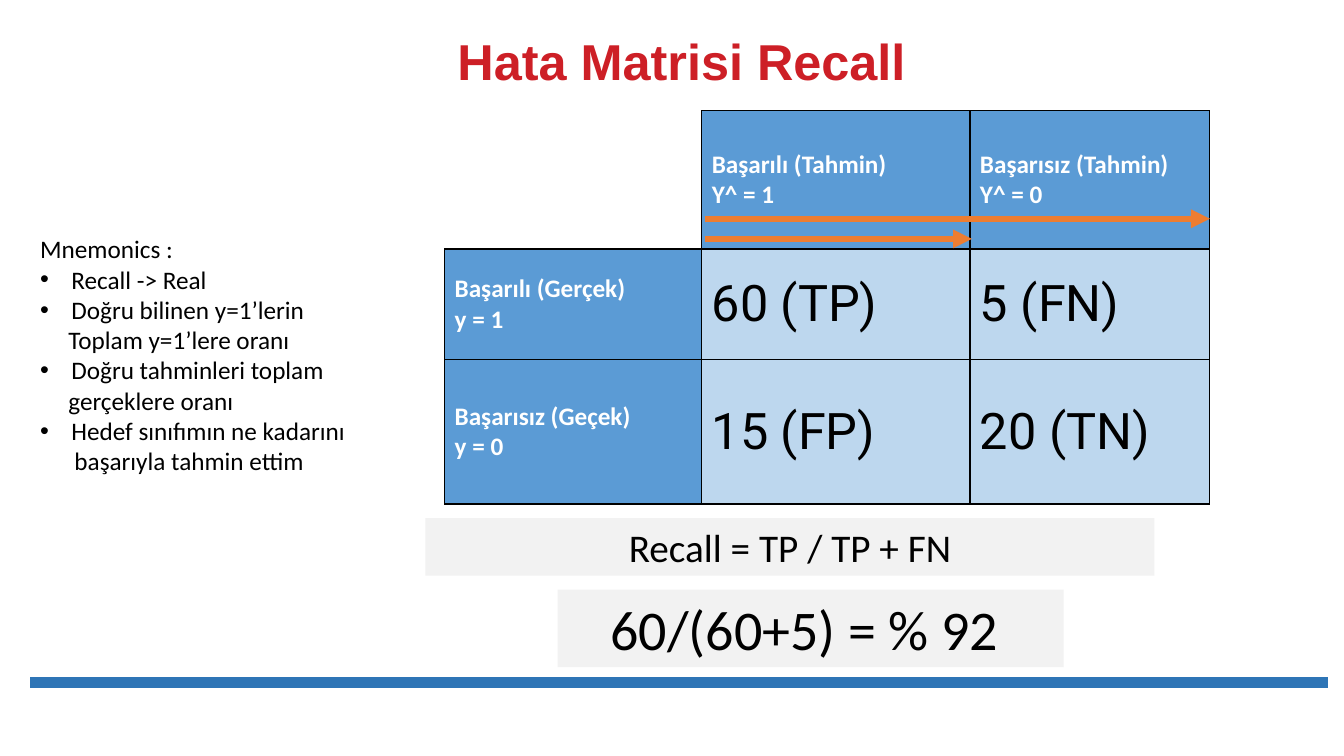
from dataclasses import dataclass

from pptx import Presentation
from pptx import util as u
from pptx.dml.color import RGBColor
from pptx.enum import shapes, text
from pptx.oxml import parse_xml
from pptx.oxml.ns import nsdecls, qn

Inches = u.Inches


@dataclass(frozen=True)
class Theme:
    red: str = "CD1F26"
    bar: str = "2E75B6"
    head: str = "5B9BD5"
    cell: str = "BDD7EE"
    panel: str = "F2F2F2"
    arrow: str = "ED7D31"
    black: str = "000000"
    white: str = "FFFFFF"
    body: str = "Calibri"
    title: str = "Arial"
    digits: str = "Roboto"
    small: int = 18
    mid: int = 28
    big: int = 36
    huge: int = 40


T = Theme()
LEFT, CENTER = text.PP_ALIGN.LEFT, text.PP_ALIGN.CENTER


def paint(fill, color):
    fill.solid()
    fill.fore_color.rgb = RGBColor.from_string(color)


def write(frame, words, size=T.small, font=T.body, color=T.black,
          bold=False, align=LEFT, space=None):
    """Fill a frame with one paragraph per line of words."""
    for i, line in enumerate(words.split("\n")):
        para = frame.paragraphs[0] if i == 0 else frame.add_paragraph()
        para.alignment, para.line_spacing = align, space
        run = para.add_run()
        run.text = line
        run.font.size, run.font.name, run.font.bold = u.Pt(size), font, bold
        run.font.color.rgb = RGBColor.from_string(color)


def add_line(slide, start, end, color, width, arrow=False):
    line = slide.shapes.add_connector(
        shapes.MSO_CONNECTOR.STRAIGHT, *map(Inches, start + end))
    line.line.width = u.Pt(width)
    paint(line.line.fill, color)
    if arrow:
        line.line._get_or_add_ln().append(
            parse_xml(f'<a:tailEnd {nsdecls("a")} type="triangle"/>'))
    props = line._element.find(qn("p:spPr"))
    props.append(parse_xml(f'<a:effectLst {nsdecls("a")}/>'))


def add_title(slide, box):
    frame = slide.shapes.add_textbox(*map(Inches, box)).text_frame
    frame.word_wrap = True
    frame.vertical_anchor = text.MSO_ANCHOR.MIDDLE
    write(frame, "Hata Matrisi Recall", size=T.big, font=T.title,
          color=T.red, bold=True, align=CENTER, space=0.9)


def set_edges(cell, sides):
    """Draw the named sides in black and leave the others empty."""
    props = cell._tc.get_or_add_tcPr()
    for i, side in enumerate("LRTB"):
        if side in sides:
            ink = f'<a:solidFill><a:srgbClr val="{T.black}"/></a:solidFill>'
        else:
            ink = "<a:noFill/>"
        props.insert(i, parse_xml(
            f'<a:ln{side} {nsdecls("a")} w="12700">{ink}</a:ln{side}>'))


def add_matrix(slide, box):
    rows = [
        ["", "Başarılı (Tahmin)\nY^ = 1", "Başarısız (Tahmin)\nY^ = 0"],
        ["Başarılı (Gerçek)\ny = 1", "60 (TP)", "5 (FN)"],
        ["Başarısız (Geçek)\ny = 0", "15 (FP)", "20 (TN)"],
    ]
    widths, heights = [2.55, 2.66, 2.38], [1.37, 1.1, 1.43]
    grid = slide.shapes.add_table(3, 3, *map(Inches, box)).table
    for col, width in zip(grid.columns, widths):
        col.width = Inches(width)
    for row, height in zip(grid.rows, heights):
        row.height = Inches(height)
    for r, row in enumerate(rows):
        for c, words in enumerate(row):
            cell = grid.cell(r, c)
            cell.vertical_anchor = text.MSO_ANCHOR.MIDDLE
            if not words:
                cell.fill.background()
                set_edges(cell, "RB")
                continue
            head = r == 0 or c == 0
            paint(cell.fill, T.head if head else T.cell)
            set_edges(cell, "LRTB")
            if head:
                write(cell.text_frame, words, color=T.white, bold=True)
            else:
                write(cell.text_frame, words, size=T.big, font=T.digits)

    # Arrows across the header: TP alone, then TP with FN
    left, base = box[0] + widths[0] + 0.03, box[1] + heights[0]
    for span, lift in ((2.65, 0.1), (5.01, 0.3)):
        y = base - lift
        add_line(slide, (left, y), (left + span, y), T.arrow, 4.5, arrow=True)


def add_panel(slide, box, words, size):
    panel = slide.shapes.add_shape(
        shapes.MSO_SHAPE.RECTANGLE, *map(Inches, box))
    panel.shadow.inherit = False
    paint(panel.fill, T.panel)
    panel.line.fill.background()
    frame = panel.text_frame
    frame.word_wrap = True
    frame.vertical_anchor = text.MSO_ANCHOR.MIDDLE
    write(frame, words, size=size, align=CENTER)


def add_notes(slide, box):
    # Each line: words, left margin, bullet or not
    lines = [
        ("Mnemonics :", 0, False),
        ("Recall -> Real", 0.31, True),
        ("Doğru bilinen y=1’lerin", 0.31, True),
        ("Toplam y=1’lere oranı", 0.28, False),
        ("Doğru tahminleri toplam", 0.31, True),
        ("gerçeklere oranı", 0.28, False),
        ("Hedef sınıfımın ne kadarını", 0.31, True),
        ("başarıyla tahmin ettim", 0.34, False),
    ]
    frame = slide.shapes.add_textbox(*map(Inches, box)).text_frame
    frame.word_wrap = False
    write(frame, "\n".join(words for words, _, _ in lines))
    for para, (_, margin, dot) in zip(frame.paragraphs, lines):
        props = para._p.get_or_add_pPr()
        props.set("marL", str(Inches(margin)))
        if dot:
            props.set("indent", str(-Inches(margin)))
            props.append(parse_xml(
                f'<a:buFont {nsdecls("a")} typeface="Arial"/>'))
            props.append(parse_xml(f'<a:buChar {nsdecls("a")} char="•"/>'))


def main():
    deck = Presentation()
    deck.slide_width, deck.slide_height = Inches(13.33), Inches(7.5)
    slide = deck.slides.add_slide(deck.slide_layouts[6])
    add_title(slide, (2.15, 0.31, 9.22, 0.65))
    add_line(slide, (0.3, 6.77), (13.17, 6.77), T.bar, 8)
    add_matrix(slide, (4.41, 1.1, 7.59, 3.9))
    add_panel(slide, (4.22, 5.14, 7.23, 0.57), "Recall = TP / TP + FN", T.mid)
    add_panel(slide, (5.53, 5.85, 5.02, 0.77), "60/(60+5) = % 92 ", T.huge)
    add_notes(slide, (0.3, 2.27, 3.32, 2.52))
    deck.save("out.pptx")


if __name__ == "__main__":
    main()
